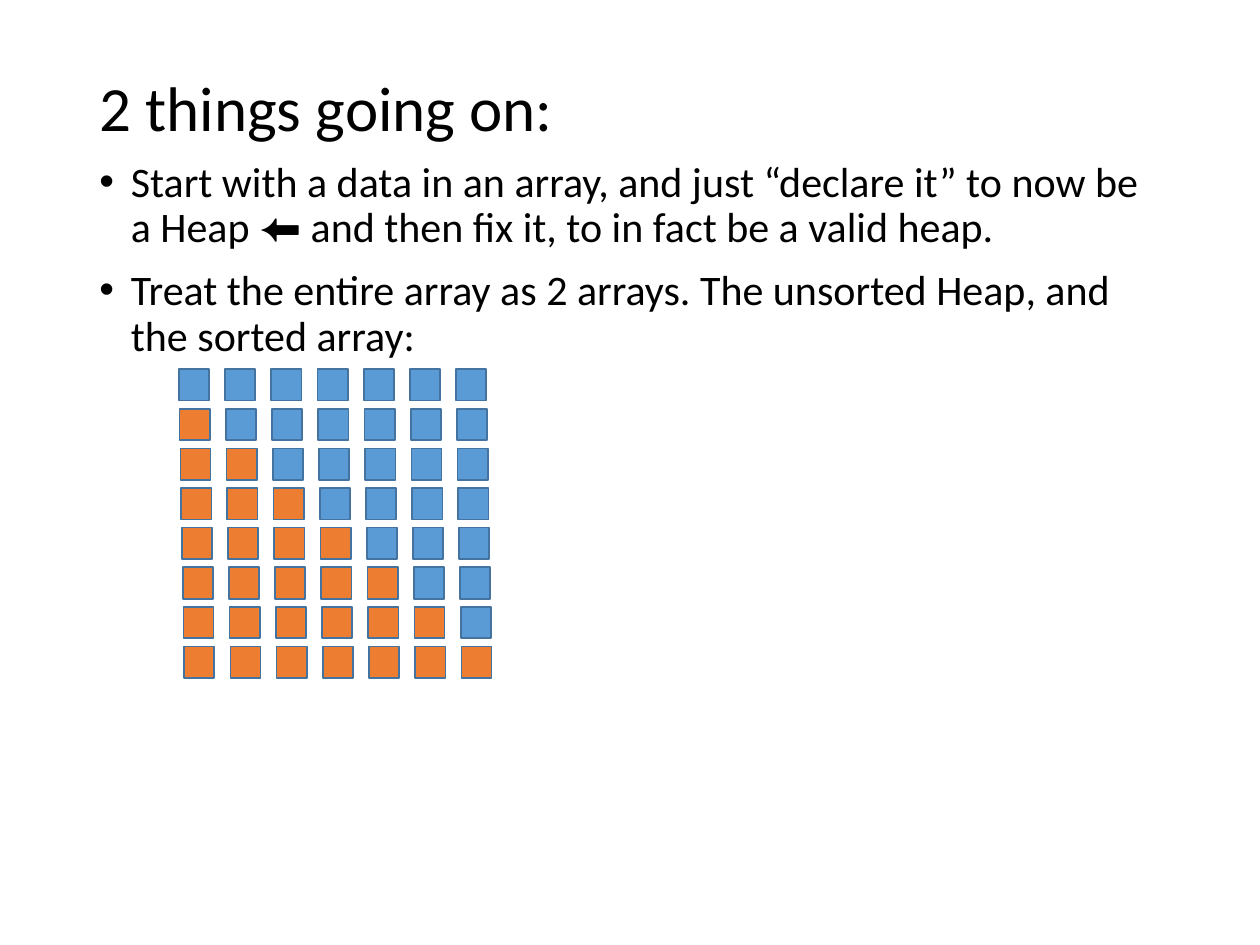
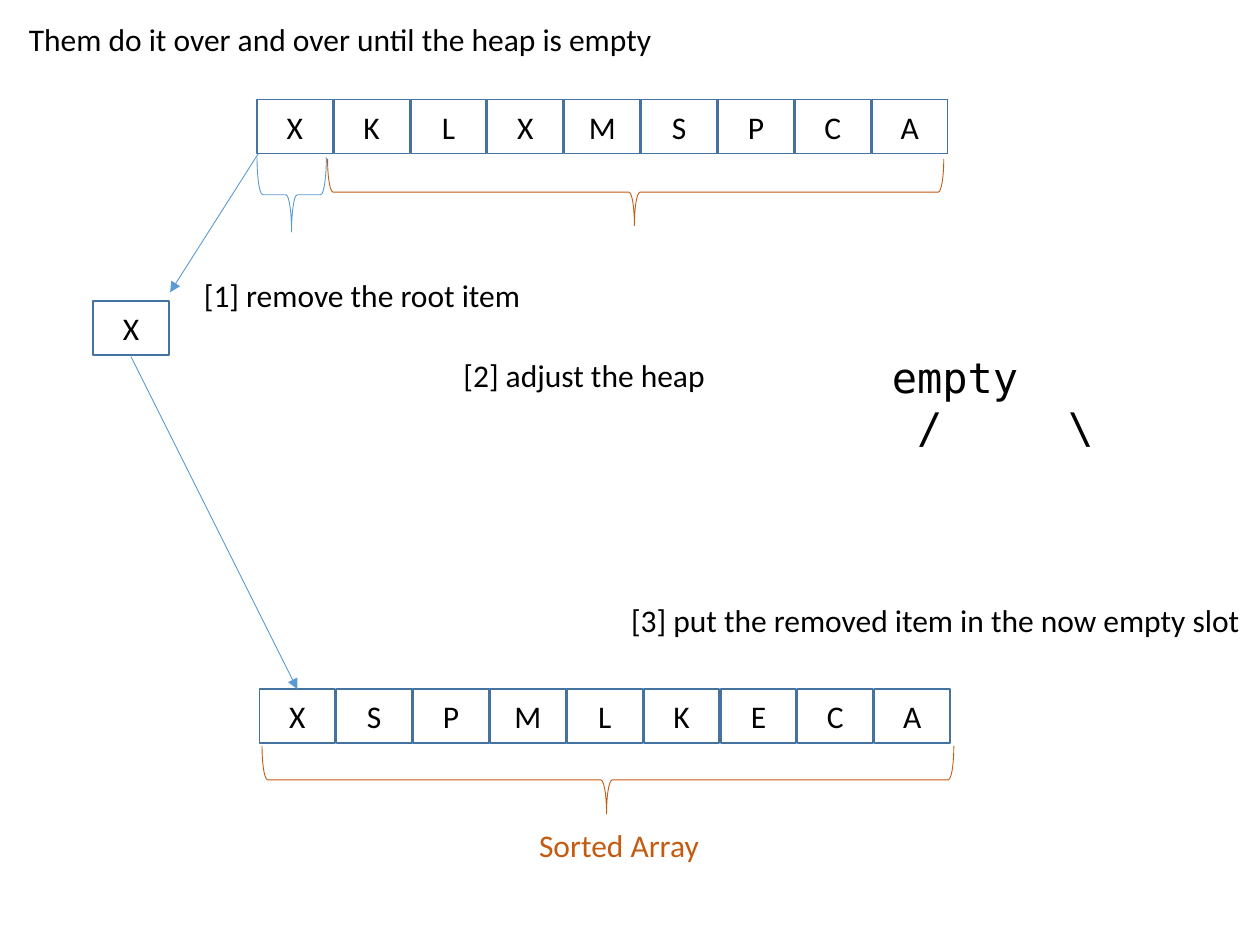
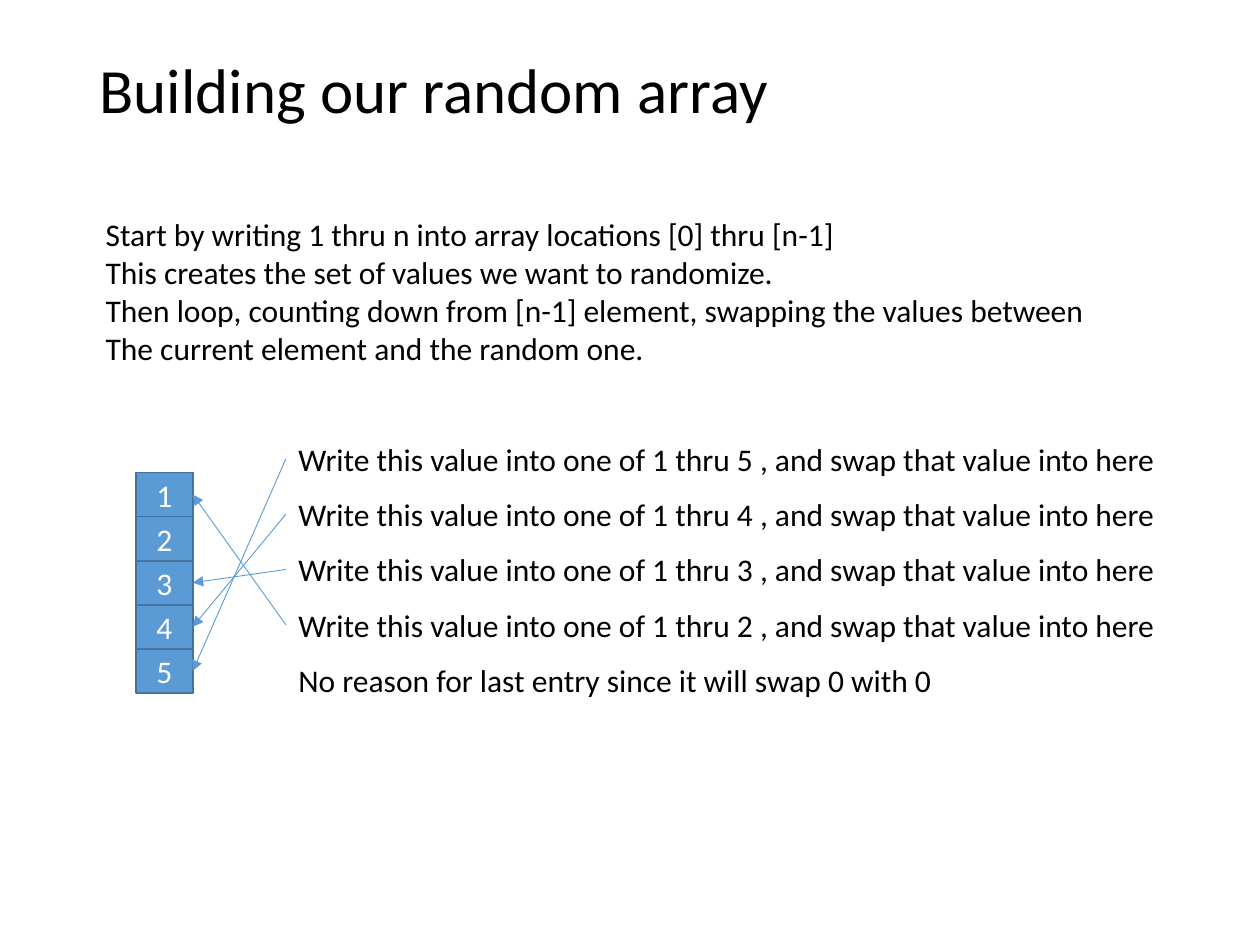
"""Build three slides that explain heap sort and array shuffling."""
from lxml.etree import SubElement
from pptx import Presentation
from pptx.dml.color import RGBColor
from pptx.enum.shapes import MSO_CONNECTOR, MSO_SHAPE
from pptx.enum.text import MSO_ANCHOR, MSO_AUTO_SIZE, PP_ALIGN
from pptx.oxml.ns import qn
from pptx.util import Inches, Pt

BLACK = RGBColor(0x00, 0x00, 0x00)
WHITE = RGBColor(0xFF, 0xFF, 0xFF)
BLUE = RGBColor(0x5B, 0x9B, 0xD5)
NAVY = RGBColor(0x43, 0x73, 0x9E)
ORANGE = RGBColor(0xED, 0x7D, 0x31)
RUST = RGBColor(0xC5, 0x5A, 0x11)
SANS = "Calibri"
MONO = "DejaVu Sans Mono"


def write(frame, text, size=18, color=BLACK, font=SANS, align=PP_ALIGN.LEFT,
          anchor=MSO_ANCHOR.TOP, wrap=True, grow=False, leading=None,
          before=0, bullet=None, tabs=()):
    frame.word_wrap = wrap
    frame.auto_size = MSO_AUTO_SIZE.SHAPE_TO_FIT_TEXT if grow else MSO_AUTO_SIZE.NONE
    frame.vertical_anchor = anchor
    for side in ("left", "right"):
        setattr(frame, f"margin_{side}", Inches(0.1))
    for side in ("top", "bottom"):
        setattr(frame, f"margin_{side}", Inches(0.05))
    for i, line in enumerate(text.split("\n")):
        para = frame.add_paragraph() if i else frame.paragraphs[0]
        para.alignment = align
        para.space_before = Pt(before)
        if leading:
            para.line_spacing = leading
        run = para.add_run()
        run.text = line
        run.font.size = Pt(size)
        run.font.name = font
        run.font.color.rgb = color
        props = para._p.get_or_add_pPr()
        if bullet:
            props.set("marL", str(Inches(0.25)))
            props.set("indent", str(Inches(-0.25)))
            SubElement(props, qn("a:buFont"), typeface="Arial")
            SubElement(props, qn("a:buChar"), char=bullet)
        if tabs:
            stops = SubElement(props, qn("a:tabLst"))
            for stop in tabs:
                SubElement(stops, qn("a:tab"), pos=str(Inches(stop)), algn="l")


class Deck:
    def __init__(self):
        self.prs = Presentation()
        self.prs.slide_width = Inches(10)
        self.prs.slide_height = Inches(7.5)
        self.slide = None

    def start(self, title=None, height=0.97):
        layout = self.prs.slide_layouts[5 if title else 6]
        self.slide = self.prs.slides.add_slide(layout)
        if title:
            head = self.slide.shapes.title
            head.left, head.top = Inches(0.69), Inches(0.4)
            head.width, head.height = Inches(8.62), Inches(height)
            write(head.text_frame, title, size=36, anchor=MSO_ANCHOR.MIDDLE,
                  leading=0.9)

    def shape(self, kind, left, top, width, height, fill=None, line=None, weight=1):
        item = self.slide.shapes.add_shape(
            kind, Inches(left), Inches(top), Inches(width), Inches(height))
        item.shadow.inherit = False
        if fill:
            item.fill.solid()
            item.fill.fore_color.rgb = fill
        else:
            item.fill.background()
        if line:
            item.line.color.rgb = line
            item.line.width = Pt(weight)
        else:
            item.line.fill.background()
        return item

    def cell(self, left, top, width, height, text="", fill=None, color=BLACK):
        box = self.shape(MSO_SHAPE.RECTANGLE, left, top, width, height, fill, NAVY)
        if text:
            write(box.text_frame, text, color=color, align=PP_ALIGN.CENTER,
                  anchor=MSO_ANCHOR.MIDDLE)

    def array(self, left, top, items):
        for i, item in enumerate(items):
            self.cell(left + 0.61 * i, top, 0.6, 0.43, item)

    def brace(self, left, top, width, depth, color):
        shift = (width - depth) / 2
        item = self.shape(MSO_SHAPE.LEFT_BRACE, left + shift, top - shift,
                          depth, width, line=color, weight=0.5)
        item.rotation = 270
        item.adjustments[0] = 0.083
        item.adjustments[1] = 0.498

    def text(self, left, top, width, height, text, **style):
        box = self.slide.shapes.add_textbox(
            Inches(left), Inches(top), Inches(width), Inches(height))
        write(box.text_frame, text, **style)

    def label(self, left, top, width, text, height=0.4, color=BLACK):
        self.text(left, top, width, height, text, color=color, wrap=False, grow=True)

    def arrow(self, left, top, right, bottom):
        line = self.slide.shapes.add_connector(
            MSO_CONNECTOR.STRAIGHT, Inches(left), Inches(top),
            Inches(right), Inches(bottom))
        line.line.color.rgb = BLUE
        line.line.width = Pt(0.5)
        SubElement(line.line._get_or_add_ln(), qn("a:tailEnd"), type="triangle")
        SubElement(line._element.spPr, qn("a:effectLst"))


def parts(deck):
    deck.start("2 things going on:")
    deck.text(0.69, 1.23, 8.62, 5.52,
              "Start with a data in an array, and just “declare it” to now be a Heap "
              "⬅ and then fix it, to in fact be a valid heap.\n"
              "Treat the entire array as 2 arrays. The unsorted Heap, and the sorted array:",
              size=24, leading=0.9, before=10, bullet="•")
    for row in range(8):
        for col in range(7):
            deck.cell(1.42 + 0.3667 * col + 0.006 * row, 2.93 + 0.3143 * row,
                      0.24, 0.25, fill=ORANGE if col < row else BLUE)


def steps(deck):
    deck.start()
    deck.label(4.18, 6.51, 1.48, "Sorted Array", color=RUST)
    deck.brace(2.08, 5.92, 5.49, 0.54, RUST)
    deck.array(2.06, 5.47, "XSPMLKECA")
    deck.cell(0.74, 2.39, 0.6, 0.43, "X")
    deck.arrow(2.05, 1.22, 1.35, 2.32)
    tree = deck.shape(MSO_SHAPE.RECTANGLE, 4.77, 2.74, 4.07, 1.31, fill=WHITE)
    write(tree.text_frame, "\tempty\n\t/\t\\", size=24, font=MONO)
    for para, tabs in zip(tree.text_frame.paragraphs, ((2.21,), (2.41, 3.61))):
        stops = SubElement(para._p.get_or_add_pPr(), qn("a:tabLst"))
        for stop in tabs:
            SubElement(stops, qn("a:tab"), pos=str(Inches(stop)), algn="l")
    deck.label(1.52, 2.14, 2.74, "[1] remove the root item")
    deck.label(3.58, 2.78, 2.14, "[2] adjust the heap")
    deck.label(4.91, 4.72, 5.09, "[3] put the removed item in the now empty slot")
    deck.arrow(1.04, 2.83, 2.36, 5.47)
    deck.label(0.13, 0.11, 5.29, "Them do it over and over until the heap is empty")
    deck.array(2.04, 0.79, "XKLXMSPCA")
    deck.brace(2.04, 1.25, 0.55, 0.59, BLUE)
    deck.brace(2.6, 1.26, 4.89, 0.53, RUST)


def shuffle(deck):
    deck.start("Building our random array", height=0.68)
    first, pitch = 3.75, 0.35
    for i in range(5):
        deck.cell(1.08, first + pitch * i, 0.45, pitch, str(i + 1), BLUE, WHITE)
    for i, goal in enumerate((5, 4, 3, 1)):
        top = 3.44 + 0.44 * i
        deck.label(2.27, top, 7.08, f"Write this value into one of 1 thru {5 - i} , "
                   "and swap that value into here")
        deck.arrow(2.27, top + 0.2, 1.53, first + pitch * (goal - 0.5))
    deck.label(2.27, 5.2, 5.29, "No reason for last entry since it will swap 0 with 0")
    deck.label(0.74, 1.66, 8.07,
               "Start by writing 1 thru n into array locations [0] thru [n-1]\n"
               "This creates the set of values we want to randomize.\n"
               "Then loop, counting down from [n-1] element, swapping the values between\n"
               "The current element and the random one.", height=1.31)


deck = Deck()
for build in (parts, steps, shuffle):
    build(deck)
deck.prs.save("out.pptx")
